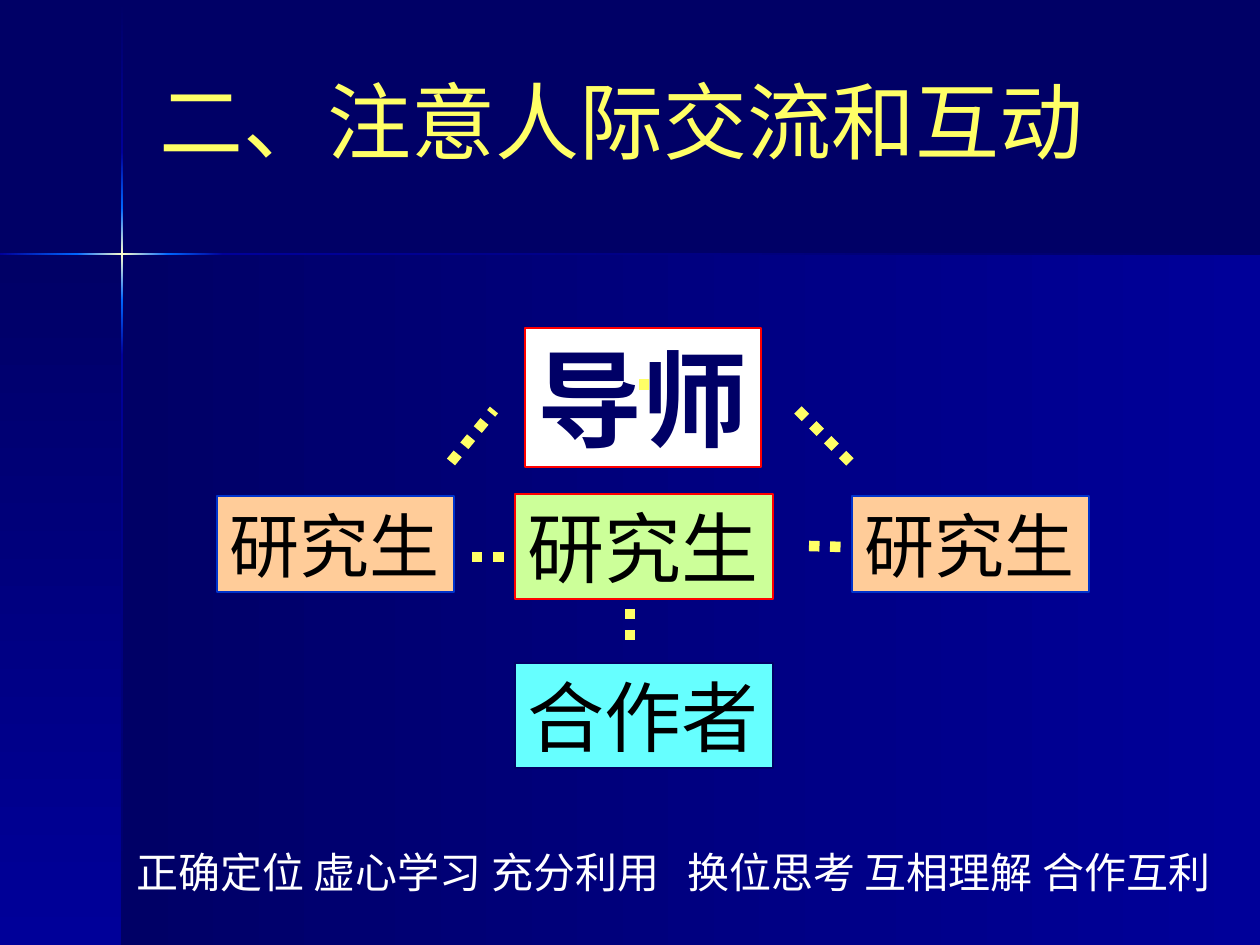
from copy import deepcopy

from pptx import Presentation
from pptx.dml.color import RGBColor
from pptx.enum.dml import MSO_LINE
from pptx.enum.shapes import MSO_CONNECTOR, MSO_SHAPE
from pptx.enum.text import MSO_ANCHOR, MSO_AUTO_SIZE, PP_ALIGN
from pptx.oxml.ns import qn
from pptx.oxml.xmlchemy import OxmlElement
from pptx.util import Pt

PX = 914400 / 126
RECT = MSO_SHAPE.RECTANGLE
STRAIGHT = MSO_CONNECTOR.STRAIGHT
DOTTED = MSO_LINE.ROUND_DOT
LEFT = PP_ALIGN.LEFT
TOP, MIDDLE = MSO_ANCHOR.TOP, MSO_ANCHOR.MIDDLE
FIT_TEXT = MSO_AUTO_SIZE.SHAPE_TO_FIT_TEXT
RIGHTWARD, DOWNWARD = 0, 270

COLORS = {name: RGBColor.from_string(code) for name, code in {
    "navy": "000066", "blue": "000099", "bright": "0066FF", "glow": "FFFFCC",
    "yellow": "FFFF66", "white": "FFFFFF", "black": "000000", "red": "FF0000",
    "lime": "CCFF99", "peach": "FFCC99", "royal": "0033CC", "cyan": "66FFFF",
}.items()}


def add_gradient_band(left, top, width, height, stops, angle):
    """Add a borderless rectangle whose evenly spaced stops run along angle."""
    band = slide.shapes.add_shape(
        RECT, *(round(v * PX) for v in (left, top, width, height)))
    band.shadow.inherit = False
    band.line.fill.background()
    band.fill.gradient()
    band.fill.gradient_angle = angle
    stop_list = band._element.spPr.find(".//" + qn("a:gsLst"))
    while len(stop_list) < len(stops):
        stop_list.append(deepcopy(stop_list[0]))
    for i, (stop, color) in enumerate(zip(band.fill.gradient_stops, stops)):
        stop.position = i / (len(stops) - 1)
        stop.color.rgb = COLORS[color]


def write_text(holder, text, size, color, bold=None, wrap=True, anchor=TOP,
               line_spacing=None, space_before=None):
    frame = holder.text_frame
    frame.word_wrap = wrap
    frame.vertical_anchor = anchor
    paragraph = frame.paragraphs[0]
    paragraph.alignment = LEFT
    paragraph.line_spacing = line_spacing
    paragraph.space_before = space_before
    run = paragraph.add_run()
    run.text = text
    run.font.name = "Roboto"
    run.font.size = Pt(size)
    run.font.bold = bold
    run.font.color.rgb = COLORS[color]


prs = Presentation()
prs.slide_width, prs.slide_height = round(1260 * PX), round(945 * PX)
slide = prs.slides.add_slide(prs.slide_layouts[6])
slide.background.fill.solid()
slide.background.fill.fore_color.rgb = COLORS["navy"]

# Background panels
add_gradient_band(122, 255, 1138, 690, ["navy", "blue"], RIGHTWARD)
add_gradient_band(0, 255, 122, 690, ["navy", "blue"], DOWNWARD)

# Crossing light beams, each section running from one edge to the next
beam_sections = [["navy", "blue"], ["blue", "bright"], ["bright", "glow", "bright"],
                 ["bright", "blue"], ["blue", "navy"]]
column_edges = [1, 152, 208, 300, 355, 945]
for start, end, stops in zip(column_edges, column_edges[1:], beam_sections):
    add_gradient_band(121, start, 2, end - start, stops, DOWNWARD)
row_edges = [0, 77, 168, 223, 1260]
for start, end, stops in zip(row_edges, row_edges[1:], beam_sections[1:]):
    add_gradient_band(start, 253, end - start, 2, stops, RIGHTWARD)

# Title and closing advice
title = slide.shapes.add_textbox(*(round(v * PX) for v in (147, 21, 1040, 198)))
write_text(title, "二、注意人际交流和互动", 48, "yellow", anchor=MIDDLE)
advice = slide.shapes.add_textbox(*(round(v * PX) for v in (124, 820, 1136, 89)))
write_text(advice, "正确定位 虚心学习 充分利用   换位思考 互相理解 合作互利", 24, "white",
           line_spacing=1.4, space_before=Pt(6))

# People, in boxes just wide enough for one line
people = [
    ("导师", (525, 328, 236, 139), "white", "red", 60, "navy", True),
    ("研究生", (515, 494, 258, 105), "lime", "red", 44, "black", None),
    ("研究生", (217, 496, 237, 96), "peach", "royal", 40, "black", None),
    ("研究生", (852, 496, 237, 96), "peach", "royal", 40, "black", None),
    ("合作者", (515, 663, 258, 105), "cyan", "navy", 44, "black", None),
]
for role, bounds, fill, border, size, color, bold in people:
    person = slide.shapes.add_shape(RECT, *(round(v * PX) for v in bounds))
    person.shadow.inherit = False
    person.fill.solid()
    person.fill.fore_color.rgb = COLORS[fill]
    person.line.color.rgb = COLORS[border]
    person.line.width = Pt(0.75)
    write_text(person, role, size, color, bold=bold, wrap=False)
    person.text_frame.auto_size = FIT_TEXT

# Dotted links between people
links = [
    (644, 379, 644, 400), (472, 557, 505, 557), (809, 546, 842, 547),
    (630, 609, 630, 640), (451, 462, 494, 410), (798, 410, 850, 462),
]
for ends in links:
    link = slide.shapes.add_connector(STRAIGHT, *(round(v * PX) for v in ends))
    link.line.color.rgb = COLORS["yellow"]
    link.line.width = Pt(6)
    link.line.dash_style = DOTTED
    link._element.spPr.append(OxmlElement("a:effectLst"))

prs.save("out.pptx")
